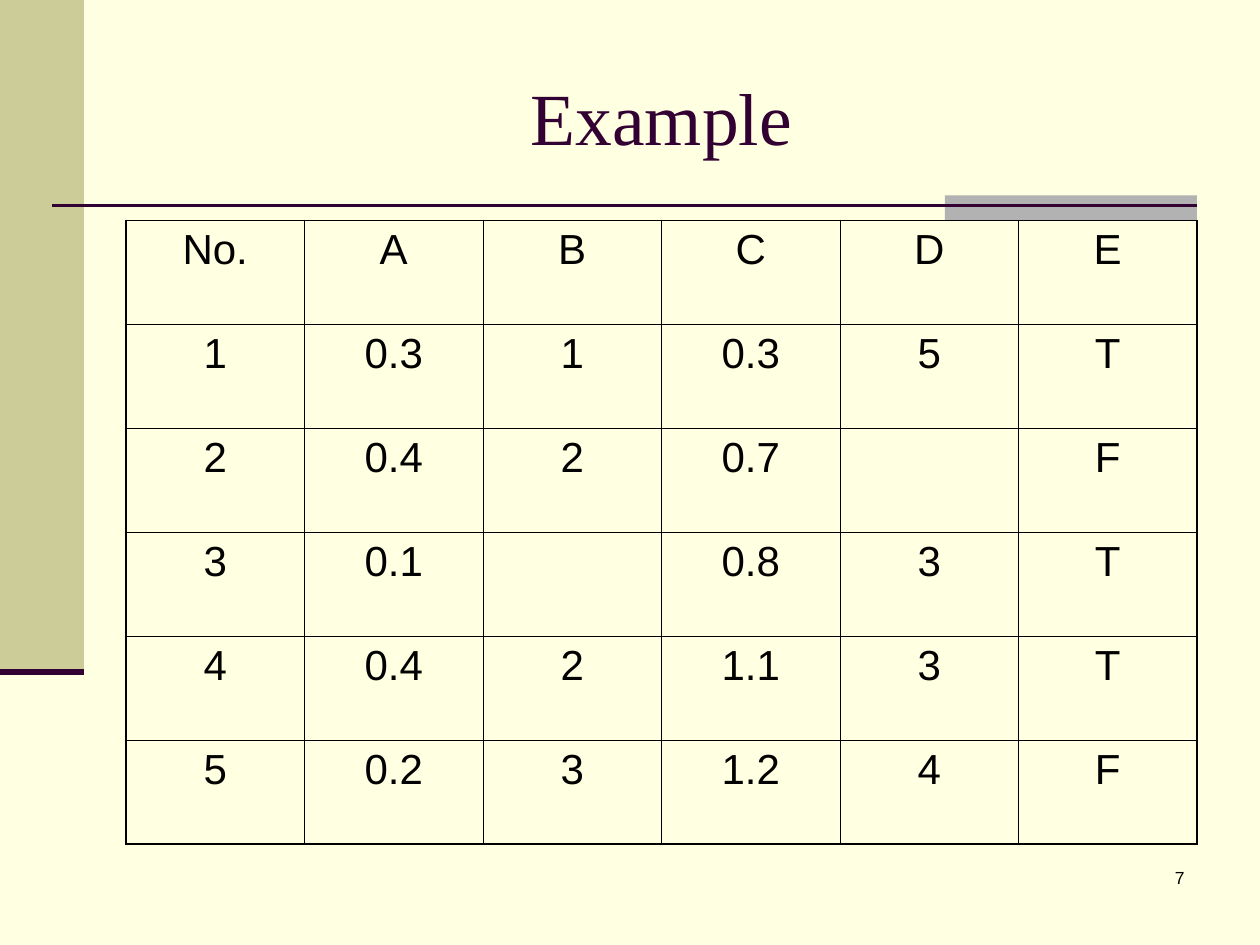
import lxml.etree
import pptx
import pptx.dml.color
import pptx.enum.shapes
import pptx.enum.text
import pptx.oxml.ns
import pptx.util

Pt = pptx.util.Pt
ALIGN = pptx.enum.text.PP_ALIGN
ANCHOR = pptx.enum.text.MSO_ANCHOR


def rgb(code):
    return pptx.dml.color.RGBColor.from_string(code)


def add_element(parent, tag, **attributes):
    return lxml.etree.SubElement(parent, pptx.oxml.ns.qn(tag), attributes)


# Colours, type sizes and line widths
THEME = {
    "background": "FFFFE1",
    "sidebar": "CCCC99",
    "accent": "B2B2B2",
    "rule": "330033",
    "border": "000000",
    "inner_border": 0.45,
    "outer_border": 1.08,
    "title": {"name": "Times New Roman", "size": Pt(42), "bold": False, "color": "330033"},
    "cell": {"name": "Arial", "size": Pt(24), "bold": False, "color": "000000"},
    "page": {"name": "Arial", "size": Pt(10), "bold": False, "color": "000000"},
}

EXAMPLE_ROWS = [
    ["No.", "A", "B", "C", "D", "E"],
    ["1", "0.3", "1", "0.3", "5", "T"],
    ["2", "0.4", "2", "0.7", "", "F"],
    ["3", "0.1", "", "0.8", "3", "T"],
    ["4", "0.4", "2", "1.1", "3", "T"],
    ["5", "0.2", "3", "1.2", "4", "F"],
]


class SlideBuilder:
    def __init__(self, slide, theme):
        self.slide = slide
        self.theme = theme
        backdrop = slide.background.fill
        backdrop.solid()
        backdrop.fore_color.rgb = rgb(theme["background"])

    def set_text(self, frame, text, style, align):
        frame.text = text
        paragraph = frame.paragraphs[0]
        paragraph.alignment = align
        for key, value in self.theme[style].items():
            if key == "color":
                paragraph.font.color.rgb = rgb(value)
            else:
                setattr(paragraph.font, key, value)

    def title(self, text, left, top, width, height):
        heading = self.slide.shapes.title
        placement = {"left": left, "top": top, "width": width, "height": height}
        for key, value in placement.items():
            setattr(heading, key, Pt(value))
        heading.text_frame.vertical_anchor = ANCHOR.MIDDLE
        self.set_text(heading.text_frame, text, "title", ALIGN.CENTER)

    def block(self, color, *box):
        band = self.slide.shapes.add_shape(
            pptx.enum.shapes.MSO_SHAPE.RECTANGLE, *map(Pt, box))
        band.shadow.inherit = False
        band.fill.solid()
        band.fill.fore_color.rgb = rgb(self.theme[color])
        band.line.fill.background()

    def rule(self, width, *ends):
        rule = self.slide.shapes.add_connector(
            pptx.enum.shapes.MSO_CONNECTOR.STRAIGHT, *map(Pt, ends))
        rule.line.color.rgb = rgb(self.theme["rule"])
        rule.line.width = Pt(width)
        add_element(rule._element.spPr, "a:effectLst")

    def text(self, text, style, align, *box):
        frame = self.slide.shapes.add_textbox(*map(Pt, box)).text_frame
        frame.word_wrap = True
        self.set_text(frame, text, style, align)

    def border(self, cell, side, is_outer):
        width = self.theme["outer_border" if is_outer else "inner_border"]
        properties = cell._tc.get_or_add_tcPr()
        edge = add_element(properties, f"a:ln{side}", w=str(int(Pt(width))))
        fill = add_element(edge, "a:solidFill")
        add_element(fill, "a:srgbClr", val=self.theme["border"])

    def table(self, rows, *box):
        last_row, last_column = len(rows) - 1, len(rows[0]) - 1
        grid = self.slide.shapes.add_table(
            len(rows), len(rows[0]), *map(Pt, box)).table
        grid.first_row = grid.horz_banding = False
        for r, values in enumerate(rows):
            for c, value in enumerate(values):
                cell = grid.cell(r, c)
                outer = {"L": c == 0, "R": c == last_column,
                         "T": r == 0, "B": r == last_row}
                for side, is_outer in outer.items():
                    self.border(cell, side, is_outer)
                cell.fill.background()
                self.set_text(cell.text_frame, value, "cell", ALIGN.CENTER)


def main():
    deck = pptx.Presentation()
    deck.slide_width, deck.slide_height = Pt(720), Pt(540)
    title_only = deck.slide_layouts[5]
    page = SlideBuilder(deck.slides.add_slide(title_only), THEME)

    # Decoration: side band, accent block and rules
    page.block("sidebar", 0, 0, 48, 384)
    page.block("accent", 540, 111.6, 144, 14.4)
    page.rule(1.5, 30, 117.6, 684, 117.6)
    page.rule(3.5, 0, 384, 48, 384)

    # Content: heading, data and page number
    page.title("Example", 72, 21.6, 612, 90)
    page.table(EXAMPLE_ROWS, 72, 126, 612, 356.4)
    page.text("7", "page", ALIGN.RIGHT, 534, 492, 150, 36)

    deck.save("out.pptx")


if __name__ == "__main__":
    main()
